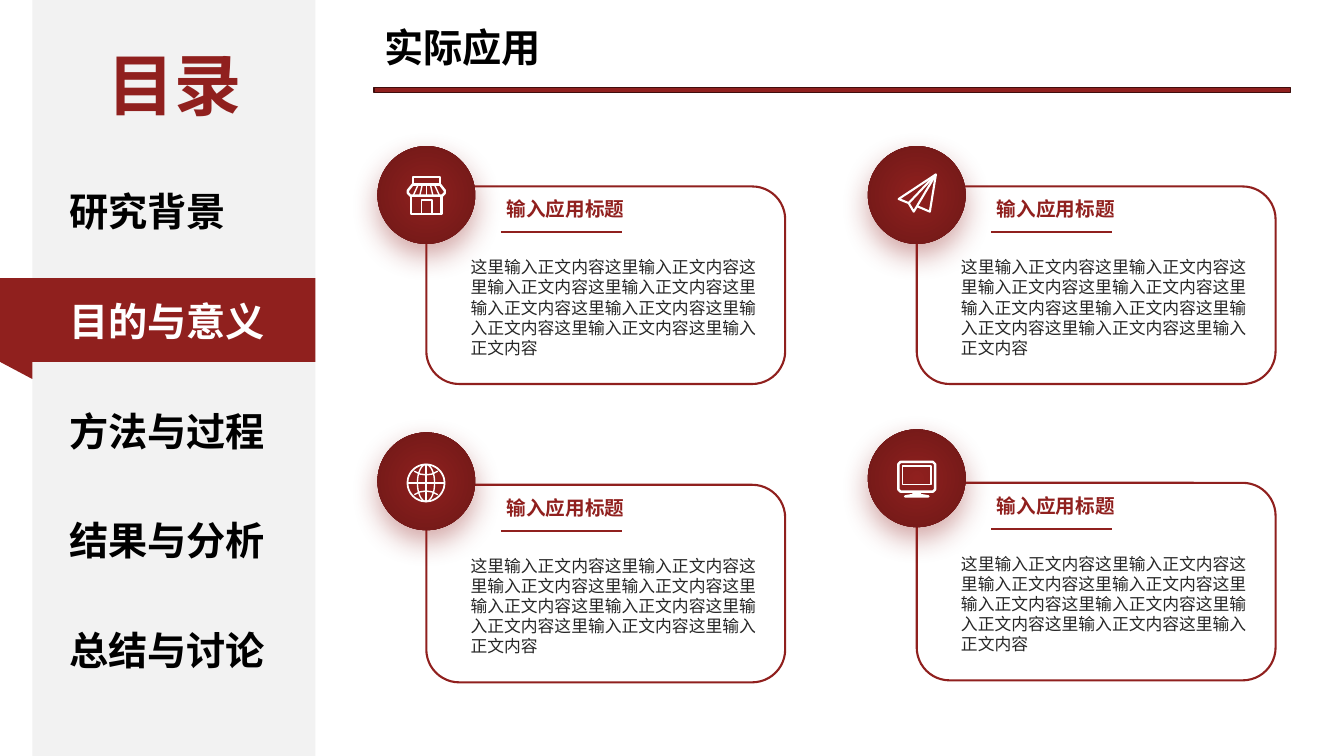
from math import cos, pi, sin

from lxml.etree import SubElement
from pptx import Presentation
from pptx.dml.color import RGBColor
from pptx.enum.shapes import MSO_CONNECTOR as Link, MSO_SHAPE as Kind
from pptx.enum.text import MSO_ANCHOR as Anchor, PP_ALIGN as Align
from pptx.oxml.ns import qn
from pptx.util import Inches, Pt

FONT = "Noto Sans CJK SC"
RED, DARK, WHITE, BLACK = "90201E", "6C1817", "FFFFFF", "000000"
COLS, ROWS = 133.33, 75
MENU = ["研究背景", "目的与意义", "方法与过程", "结果与分析", "总结与讨论"]
HEAD = "输入应用标题"
BODY = "这里输入正文内容" * 9


def cell(n):
    return Inches(n / 10)


def place(x, y, w, h):
    return [cell(n) for n in (x, y, w, h)]


def tint(code):
    return RGBColor.from_string(code)


def write(shape, text, size, color, bold=True, align=Align.LEFT, pitch=None):
    frame = shape.text_frame
    for key, value in {"word_wrap": True, "vertical_anchor": Anchor.MIDDLE,
                       "margin_left": cell(1), "margin_right": cell(1),
                       "margin_top": cell(0.5), "margin_bottom": cell(0.5)}.items():
        setattr(frame, key, value)
    para = frame.paragraphs[0]
    para.alignment = align
    para.line_spacing = pitch
    run = para.add_run()
    run.text = text
    for key, value in {"size": Pt(size), "bold": bold, "name": FONT}.items():
        setattr(run.font, key, value)
    run.font.color.rgb = tint(color)
    SubElement(run.font._element, qn("a:ea"), typeface=FONT)


def label(slide, box, *args, **style):
    write(slide.shapes.add_textbox(*place(*box)), *args, **style)


def paint(shape, fill=None, line=None, width=1.5):
    shape.shadow.inherit = False
    if fill:
        shape.fill.solid()
        shape.fill.fore_color.rgb = tint(fill)
    else:
        shape.fill.background()
    if line:
        shape.line.color.rgb = tint(line)
        shape.line.width = Pt(width)
    else:
        shape.line.fill.background()
    return shape


def block(slide, kind, box, *style):
    return paint(slide.shapes.add_shape(kind, *place(*box)), *style)


def rect(x, y, right, low):
    return [(x, y), (right, y), (right, low), (x, low), (x, y)]


def oval(rx, ry, mid=192, steps=48):
    turns = [2 * pi * i / steps for i in range(steps + 1)]
    return [(mid + rx * cos(t), mid + ry * sin(t)) for t in turns]


def shop():
    folds = [[(115 + 40 * i, 90), (65 + 65 * i, 200)] for i in range(5)]
    awning = [(60, 90), (12, 150), (12, 175), (35, 200), (355, 200),
              (378, 175), (378, 150), (330, 90)]
    walls = [(45, 200), (45, 385), (345, 385), (345, 200)]
    door = [(145, 385), (145, 245), (250, 245), (250, 385)]
    return [(1.75, [rect(60, 15, 330, 90), awning, walls]), (1, folds + [door])]


def plane():
    tip = (385, 10)
    return [(1.5, [[tip, (15, 255), (115, 295), (165, 380), tip],
                   [tip, (325, 380), (195, 325)], [tip, (115, 295)]])]


def globe():
    north = [(75, 75), (130, 103), (192, 112), (254, 103), (309, 75)]
    south = [(x, 384 - y) for x, y in north]
    axes = [[(192, 8), (192, 376)], [(8, 192), (376, 192)]]
    return [(1.25, [oval(184, 184)]), (1, [oval(85, 184), north, south] + axes)]


def screen():
    case = [(35, 12), (355, 12), (378, 35), (378, 285), (355, 308),
            (35, 308), (12, 285), (12, 35), (35, 12)]
    foot = [(165, 308), (165, 340), (80, 355), (310, 355), (225, 340), (225, 308)]
    base = [[(x, y), (390 - x, y)] for x, y in ((165, 325), (130, 345))]
    return [(1.75, [case, foot] + base), (1, [rect(55, 55, 335, 235)])]


def icon(slide, x, y, parts):
    for width, paths in parts:
        pen = slide.shapes.build_freeform(*paths[0][0], scale=Inches(0.001))
        for i, path in enumerate(paths):
            if i:
                pen.move_to(*path[0])
            pen.add_line_segments(path[1:], close=False)
        paint(pen.convert_to_shape(cell(x), cell(y)), None, WHITE, width)


def badge(slide, x, y, drop, parts):
    disc = block(slide, Kind.OVAL, (x, y, 9.7, 9.7))
    disc.fill.gradient()
    for stop, code in zip(disc.fill.gradient_stops, (RED, DARK)):
        stop.color.rgb = tint(code)
    props = disc._element.spPr
    grad = props.find(qn("a:gradFill"))
    grad.remove(grad.find(qn("a:lin")))
    ring = SubElement(grad, qn("a:path"), path="circle")
    SubElement(ring, qn("a:fillToRect"),
               {side: "50000" for side in "ltrb"})
    glow = SubElement(props.find(qn("a:effectLst")), qn("a:outerShdw"),
                      blurRad=str(Pt(20)), dist=str(Pt(8)), dir="5400000",
                      algn="t", rotWithShape="0")
    shade = SubElement(glow, qn("a:srgbClr"), val=RED)
    SubElement(shade, qn("a:alpha"), val="40000")
    icon(slide, x + 2.9, y + drop, parts)


def card(slide, x, y, rise, drop, parts):
    block(slide, Kind.ROUNDED_RECTANGLE, (x, y, 35.6, 19.6), None, RED)
    label(slide, (x + 3.4, y + 6.45, 30.8, 11.1), BODY, 12, "262626",
          bold=False, pitch=Pt(14.4))
    badge(slide, x - 4.85, y - rise, drop, parts)
    rule = slide.shapes.add_connector(
        Link.STRAIGHT, *[cell(n) for n in (x + 7.4, y + 4.55, x + 19.4, y + 4.55)])
    rule.line.color.rgb = tint(RED)
    rule.line.width = Pt(1.5)
    SubElement(rule._element.spPr, qn("a:effectLst"))
    label(slide, (x + 6.6, y + 0.55, 14.4, 3.4), HEAD, 14, RED, align=Align.CENTER)


def sidebar(slide, x, y, w, h, pick):
    block(slide, Kind.RECTANGLE, (x, y, w, h), "F2F2F2")
    block(slide, Kind.RECTANGLE, (0, y + 27.6, x + w, 8.3), RED)
    fold = block(slide, Kind.RIGHT_TRIANGLE, (0, y + 35.9, x, 1.7), RED)
    fold.rotation = 180
    label(slide, (x + 4.4, y + 3.7, 19.4, 9.1), "目录", 48, RED, align=Align.CENTER)
    for i, text in enumerate(MENU):
        label(slide, (x + 2.7, y + 18.1 + 10.88 * i, 22.1, 5.7), text, 28,
              WHITE if i == pick else BLACK)


def header(slide, x, y, w):
    title = slide.shapes.title
    spots = zip(("left", "top", "width", "height"), place(x, y, 49.3, 5.7))
    for key, value in spots:
        setattr(title, key, value)
    write(title, "实际应用", 28, BLACK)
    block(slide, Kind.RECTANGLE, (x, y + 6.9, w, 0.5), RED, "3F0E0D", 1)


def main():
    deck = Presentation()
    deck.slide_width, deck.slide_height = cell(COLS), cell(ROWS)
    slide = deck.slides.add_slide(deck.slide_layouts[5])
    sidebar(slide, 3.2, 0, 28.1, ROWS, 1)
    header(slide, 37.1, 1.8, 90.9)
    cards = [(18.5, 4, 2.9, shop()), (18.5, 4, 2.7, plane()),
             (48.1, 5.2, 3.1, globe()), (47.9, 5.3, 3.1, screen())]
    for i, (y, rise, drop, parts) in enumerate(cards):
        card(slide, 42.3 + 48.65 * (i % 2), y, rise, drop, parts)
    deck.save("out.pptx")


if __name__ == "__main__":
    main()
